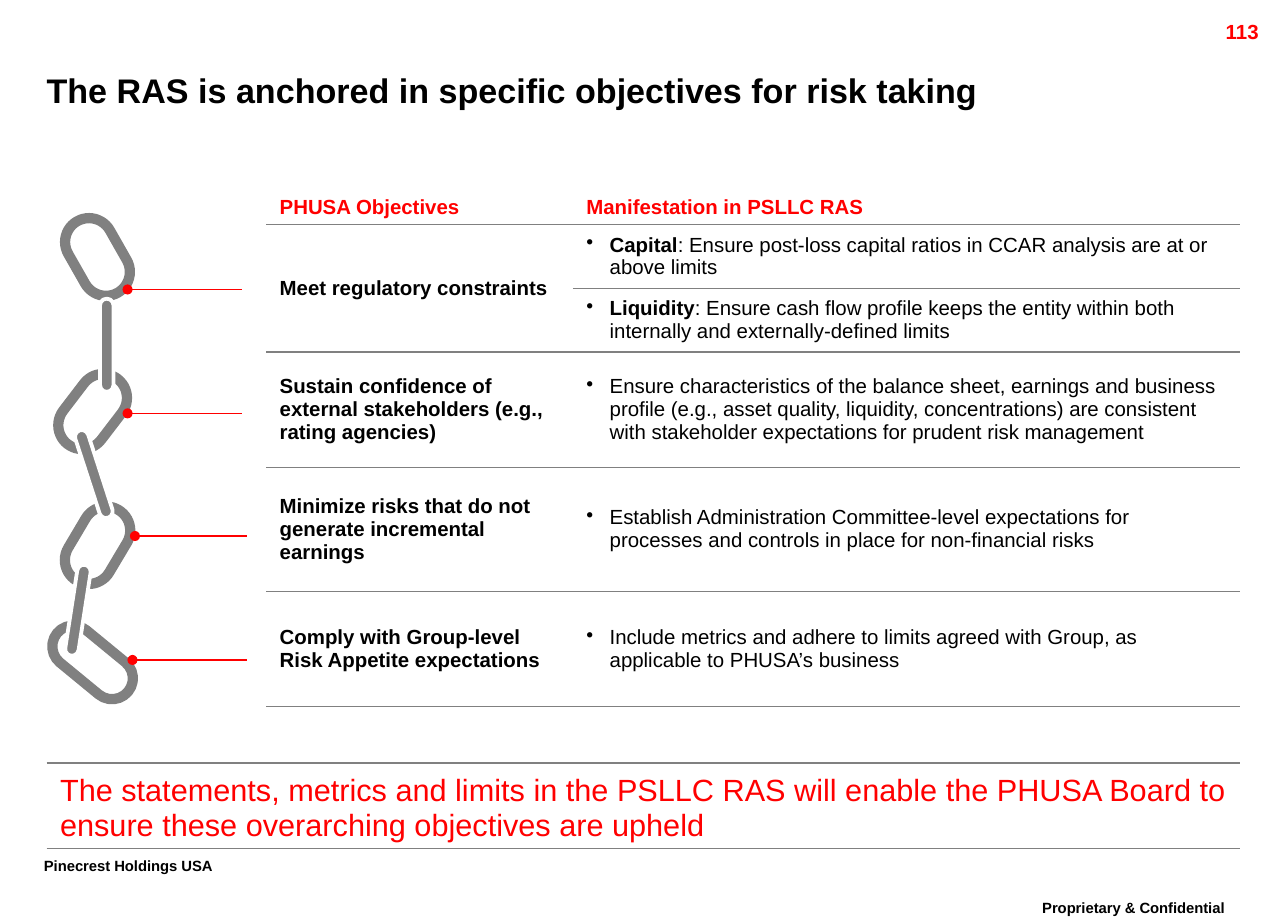
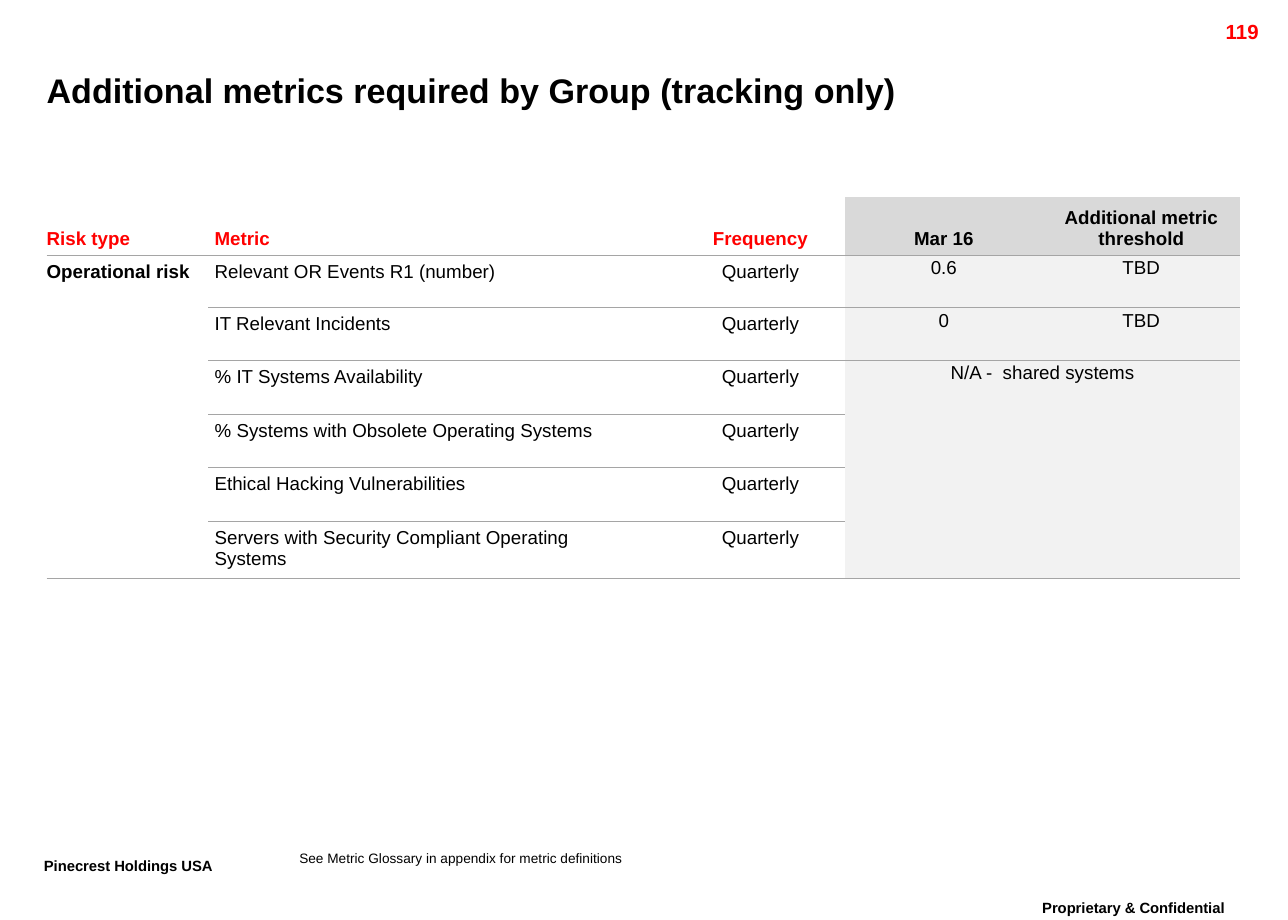
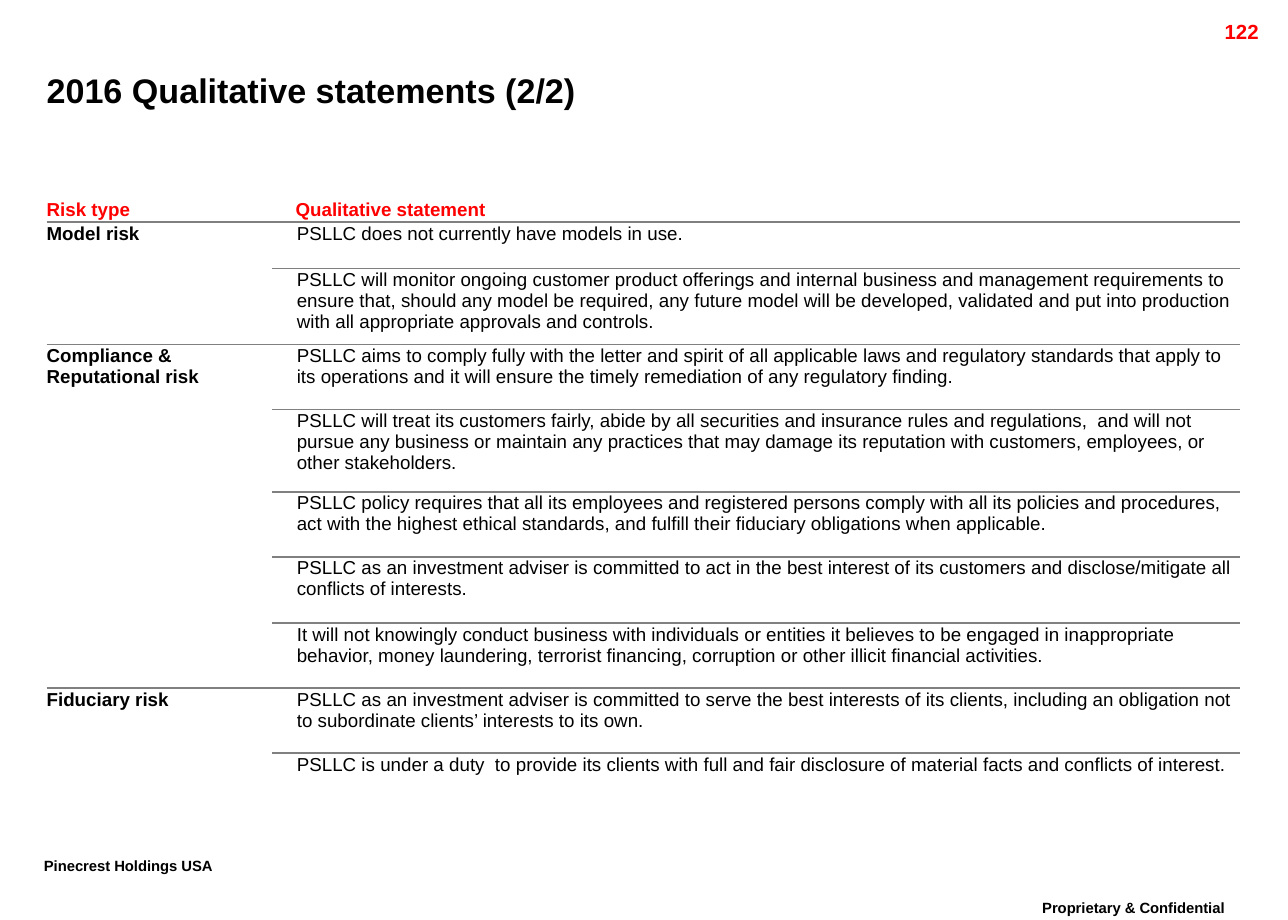
from lxml import etree
from pptx import Presentation
from pptx.dml.color import RGBColor
from pptx.enum.shapes import MSO_CONNECTOR, MSO_SHAPE
from pptx.enum.text import MSO_ANCHOR, PP_ALIGN
from pptx.oxml.ns import qn
from pptx.util import Pt

PX = 9144
LEFT, CENTER, RIGHT = PP_ALIGN.LEFT, PP_ALIGN.CENTER, PP_ALIGN.RIGHT
TOP, MIDDLE, BOTTOM = MSO_ANCHOR.TOP, MSO_ANCHOR.MIDDLE, MSO_ANCHOR.BOTTOM
PILL, STRAIGHT = MSO_SHAPE.ROUNDED_RECTANGLE, MSO_CONNECTOR.STRAIGHT
FONT = "Arial"
RED, BLACK, WHITE = "FF0000", "000000", "FFFFFF"
GRAY, LIGHT_RULE, HEAD_FILL, VALUE_FILL = "808080", "A5A5A5", "D9D9D9", "F2F2F2"
PLAIN_GRID = "{2D5ABB26-0587-4C30-8999-92F81FD0307C}"
BOX_INSET = (10, 5, 10, 5)
NO_INSET = (0, 0, 0, 0)
MARGINS = ("margin_left", "margin_top", "margin_right", "margin_bottom")


def px(value):
    return round(value * PX)


def box(*lengths):
    return [px(length) for length in lengths]


def rgb(color):
    return RGBColor.from_string(color)


def apply(target, values):
    for name, value in values.items():
        setattr(target, name, value)


def set_inset(target, inset):
    apply(target, dict(zip(MARGINS, box(*inset))))


def add_run(paragraph, text, size, color, bold, baseline=None):
    run = paragraph.add_run()
    run.text = text
    apply(run.font, {"name": FONT, "size": Pt(size), "bold": bold})
    run.font.color.rgb = rgb(color)
    if baseline:
        run._r.get_or_add_rPr().set("baseline", str(baseline))


def write(frame, text, size=12, color=BLACK, bold=False, align=LEFT,
          lead="", bullet=False, spacing=None, baseline=None):
    paragraph = frame.paragraphs[0]
    if bullet:
        properties = paragraph._p.get_or_add_pPr()
        properties.set("marL", str(px(19)))
        properties.set("indent", str(-px(19)))
        etree.SubElement(properties, qn("a:buChar"), char="•")
    apply(paragraph, {"alignment": align, "line_spacing": spacing})
    if lead:
        add_run(paragraph, lead, size, color, True)
    for number, line in enumerate(text.split("\n")):
        if number:
            paragraph.add_line_break()
        add_run(paragraph, line, size, color, bold, baseline)


def add_label(slide, place, text, inset=BOX_INSET, **style):
    frame = slide.shapes.add_textbox(*box(*place)).text_frame
    frame.word_wrap = True
    set_inset(frame, inset)
    write(frame, text, **style)


def add_page(deck, title, number):
    slide = deck.slides.add_slide(deck.slide_layouts[5])
    write(slide.shapes.title.text_frame, title, size=20, bold=True)
    footer = {"size": 15, "bold": True, "baseline": 30000}
    add_label(slide, (815, 725, 218, 32), "Proprietary & Confidential", align=CENTER, **footer)
    add_label(slide, (26, 691, 191, 32), "Pinecrest Holdings USA", **footer)
    add_label(slide, (936, 11, 100, 24), number, color=RED, bold=True, align=RIGHT)
    return slide


def add_edge(cell, side, color, width):
    edge = etree.SubElement(cell._tc.get_or_add_tcPr(), qn("a:" + side), w=str(Pt(width)))
    fill = etree.SubElement(edge, qn("a:solidFill"))
    etree.SubElement(fill, qn("a:srgbClr"), val=color)


def fill_cell(cell, text, inset=BOX_INSET, anchor=TOP, fill=None, **style):
    set_inset(cell, inset)
    cell.vertical_anchor = anchor
    if fill:
        cell.fill.solid()
        cell.fill.fore_color.rgb = rgb(fill)
    else:
        cell.fill.background()
    write(cell.text_frame, text, **style)


def add_grid(slide, corner, columns, heights, rows, merges=(), rule=(GRAY, 0.75),
             opening=False, closing=True):
    place = box(*corner, sum(columns), sum(heights))
    table = slide.shapes.add_table(len(heights), len(columns), *place).table
    apply(table, {"first_row": False, "horz_banding": False})
    table._tbl.tblPr[0].text = PLAIN_GRID
    for column, width in zip(table.columns, columns):
        column.width = px(width)
    for row, height in zip(table.rows, heights):
        row.height = px(height)
    for top, left, bottom, right in merges:
        table.cell(top, left).merge(table.cell(bottom, right))
    last = len(rows) - 1
    for r, row in enumerate(rows):
        for c, content in enumerate(row):
            cell = table.cell(r, c)
            end = r + cell.span_height - 1 if cell.is_merge_origin else r
            if (r or opening) and not cell.is_spanned:
                add_edge(cell, "lnT", *rule)
            if (closing or end < last) and (r == last or not cell.is_spanned):
                add_edge(cell, "lnB", *rule)
            if content:
                text, style = content
                fill_cell(cell, text, **style)


def add_link(slide, place, rotation, line, width, fill=None):
    link = slide.shapes.add_shape(PILL, *box(*place))
    link.adjustments[0] = 0.5
    link.rotation = rotation
    link.shadow.inherit = False
    link.line.color.rgb = rgb(line)
    link.line.width = Pt(width)
    if fill:
        link.fill.solid()
        link.fill.fore_color.rgb = rgb(fill)
    else:
        link.fill.background()


def add_pointer(slide, start, dot, y):
    pointer = slide.shapes.add_connector(STRAIGHT, *box(start, y, dot, y))
    pointer.line.color.rgb = rgb(RED)
    pointer.line.width = Pt(0.75)
    etree.SubElement(pointer.line._get_or_add_ln(), qn("a:tailEnd"), type="oval")
    etree.SubElement(pointer._element.spPr, qn("a:effectLst"))


def add_chain(slide):
    for place, rotation in (
        ((46, 190, 67, 39), 60.4),
        ((42, 316, 67, 39), 127.4),
        ((46, 425, 67, 39), 120.7),
        ((38, 523, 75, 34), 39.4),
    ):
        add_link(slide, place, rotation, GRAY, 6)
    for place, rotation in (
        ((26, 492, 75, 11), 98.8),
        ((39, 381, 75, 11), 72),
        ((49, 276, 76, 11), 90),
    ):
        add_link(slide, place, rotation, WHITE, 2.25, GRAY)
    for start, dot, y in ((197, 104, 236), (197, 104, 337), (201, 110, 437), (201, 108, 538)):
        add_pointer(slide, start, dot, y)


def build_objectives(deck):
    slide = add_page(deck, "The RAS is anchored in specific objectives for risk taking", "113")
    add_chain(slide)
    inset = (11, 5, 11, 5)
    head = {"inset": inset, "anchor": BOTTOM, "color": RED, "bold": True}
    goal = {"inset": inset, "anchor": MIDDLE, "bold": True}
    point = {"inset": inset, "anchor": MIDDLE, "bullet": True}
    rows = [
        [("PHUSA Objectives", head), ("Manifestation in PSLLC RAS", head)],
        [("Meet regulatory constraints", goal),
         (": Ensure post-loss capital ratios in CCAR analysis are at or above limits",
          {**point, "lead": "Capital"})],
        [None,
         (": Ensure cash flow profile keeps the entity within both internally and "
          "externally-defined limits", {**point, "lead": "Liquidity"})],
        [("Sustain confidence of external stakeholders (e.g., rating agencies)", goal),
         ("Ensure characteristics of the balance sheet, earnings and business profile "
          "(e.g., asset quality, liquidity, concentrations) are consistent with stakeholder "
          "expectations for prudent risk management", point)],
        [("Minimize risks that do not generate incremental earnings", goal),
         ("Establish Administration Committee-level expectations for processes and controls "
          "in place for non-financial risks", point)],
        [("Comply with Group-level Risk Appetite expectations", goal),
         ("Include metrics and adhere to limits agreed with Group, as applicable to "
          "PHUSA’s business", point)],
    ]
    add_grid(slide, (217, 152), (250, 544), (31, 52, 52, 94, 101, 94), rows, [(1, 0, 2, 0)])
    banner = ("The statements, metrics and limits in the PSLLC RAS will enable the PHUSA Board "
              "to ensure these overarching objectives are upheld")
    takeaway = {"inset": inset, "anchor": BOTTOM, "size": 18, "color": RED}
    add_grid(slide, (38, 622), (973,), (70,), [[(banner, takeaway)]], opening=True)


def build_metrics(deck):
    slide = add_page(deck, "Additional metrics required by Group (tracking only)", "119")
    first, inset = (0, 5, 5, 5), (5, 5, 5, 5)
    head = {"inset": inset, "anchor": BOTTOM, "size": 11, "color": RED, "bold": True}
    value_head = {**head, "color": BLACK, "align": CENTER, "fill": HEAD_FILL}
    metric = {"inset": inset, "size": 11}
    frequency = {**metric, "align": CENTER}
    value = {**frequency, "fill": VALUE_FILL, "spacing": Pt(10)}
    metrics = (
        ("Relevant OR Events R1 (number)", "0.6", "TBD"),
        ("IT Relevant Incidents", "0", "TBD"),
        ("% IT Systems Availability", "N/A -  shared systems", None),
        ("% Systems with Obsolete Operating Systems", None, None),
        ("Ethical Hacking Vulnerabilities", None, None),
        ("Servers with Security Compliant Operating\nSystems", None, None),
    )
    rows = [[("Risk type", {**head, "inset": first}), ("Metric", head),
             ("Frequency", {**head, "align": CENTER}),
             ("Mar 16", value_head), ("Additional metric threshold", value_head)]]
    for name, *values in metrics:
        rows.append([None, (name, metric), ("Quarterly", frequency)]
                    + [(text, value) if text else None for text in values])
    rows[1][0] = ("Operational risk", {**metric, "inset": first, "bold": True})
    add_grid(slide, (38, 161), (132, 381, 138, 161, 161), (47, 43, 43, 44, 43, 44, 46),
             rows, [(1, 0, 6, 0), (3, 3, 6, 4)], (LIGHT_RULE, 0.75))
    add_label(slide, (244, 693, 547, 13),
              "See Metric Glossary in appendix for metric definitions", NO_INSET, size=8)


def build_statements(deck):
    slide = add_page(deck, "2016 Qualitative statements (2/2)", "122")
    risk = {"inset": (0, 1, 1, 0), "size": 11, "bold": True}
    statement = {"inset": (20, 1, 1, 0), "size": 11}
    head = {**risk, "anchor": MIDDLE, "color": RED}
    groups = (
        ("Model risk", (
            "PSLLC does not currently have models in use.",
            "PSLLC will monitor ongoing customer product offerings and internal business and "
            "management requirements to ensure that, should any model be required, any future "
            "model will be developed, validated and put into production with all appropriate "
            "approvals and controls.")),
        ("Compliance & Reputational risk", (
            "PSLLC aims to comply fully with the letter and spirit of all applicable laws and "
            "regulatory standards that apply to its operations and it will ensure the timely "
            "remediation of any regulatory finding.",
            "PSLLC will treat its customers fairly, abide by all securities and insurance rules "
            "and regulations,  and will not pursue any business or maintain any practices that "
            "may damage its reputation with customers, employees, or other stakeholders.",
            "PSLLC policy requires that all its employees and registered persons comply with all "
            "its policies and procedures, act with the highest ethical standards, and fulfill "
            "their fiduciary obligations when applicable.",
            "PSLLC as an investment adviser is committed to act in the best interest of its "
            "customers and disclose/mitigate all conflicts of interests.",
            "It will not knowingly conduct business with individuals or entities it believes to "
            "be engaged in inappropriate behavior, money laundering, terrorist financing, "
            "corruption or other illicit financial activities.")),
        ("Fiduciary risk", (
            "PSLLC as an investment adviser is committed to serve the best interests of its "
            "clients, including an obligation not to subordinate clients’ interests to its own.",
            "PSLLC is under a duty  to provide its clients with full and fair disclosure of "
            "material facts and conflicts of interest.")),
    )
    rows = [[("Risk type", head), ("Qualitative statement", {**head, "inset": (19, 1, 1, 0)})]]
    merges = []
    for name, statements in groups:
        start = len(rows)
        rows += [[None, (text, statement)] for text in statements]
        rows[start][0] = (name, risk)
        merges.append((start, 0, len(rows) - 1, 0))
    add_grid(slide, (38, 161), (184, 789), (20, 38, 62, 53, 67, 53, 54, 53, 53, 54),
             rows, merges, (GRAY, 1), closing=False)


def main():
    deck = Presentation()
    apply(deck, {"slide_width": px(1050), "slide_height": px(750)})
    title = deck.slide_layouts[5].placeholders[0]
    apply(title, dict(zip(("left", "top", "width", "height"), box(38, 49, 948, 48))))
    title.text_frame.vertical_anchor = MIDDLE
    set_inset(title.text_frame, NO_INSET)
    build_objectives(deck)
    build_metrics(deck)
    build_statements(deck)
    deck.save("out.pptx")


if __name__ == "__main__":
    main()
